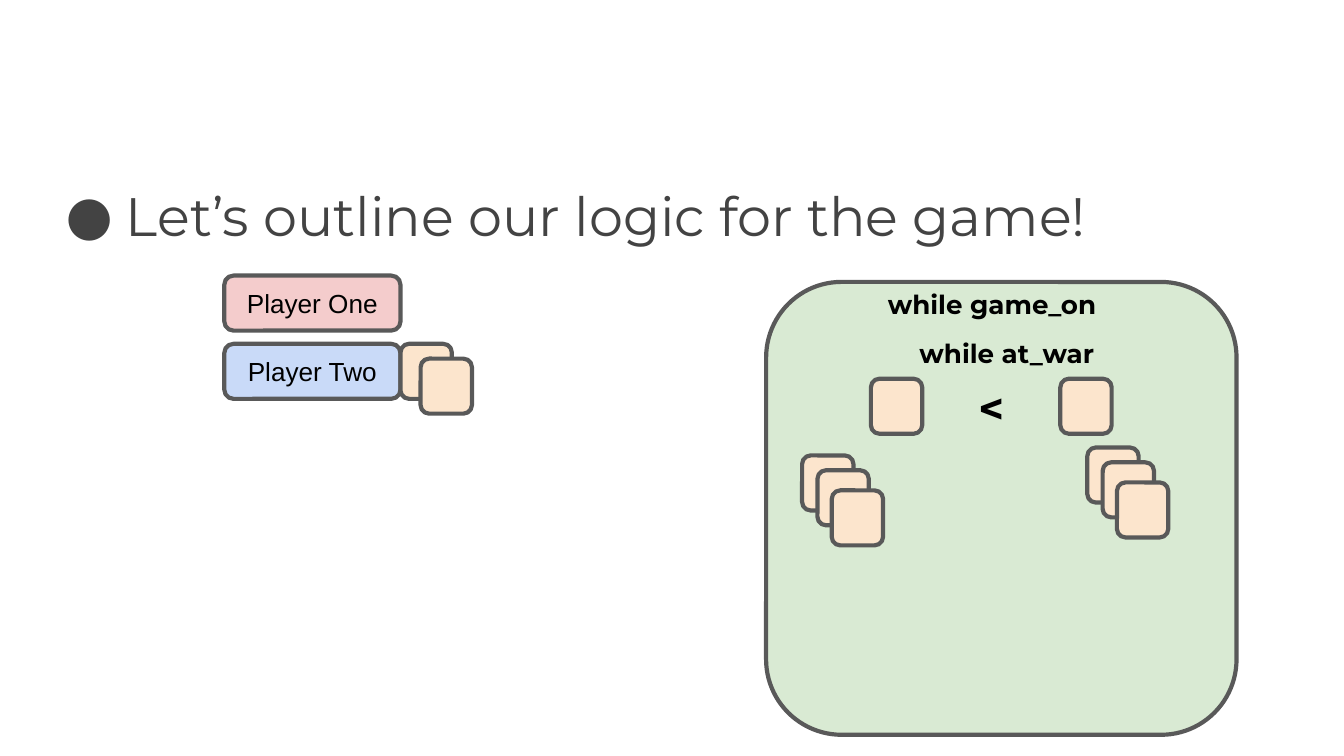
from dataclasses import dataclass
from typing import NamedTuple, Optional

from lxml import etree
from pptx import Presentation
from pptx import util as u
from pptx.dml.color import RGBColor
from pptx.enum import shapes, text
from pptx.oxml.ns import qn


@dataclass(frozen=True)
class Theme:
    ink: str = "000000"
    body: str = "434343"
    outline: str = "595959"
    table: str = "D9EAD3"
    card: str = "FCE5CD"
    player_one: str = "F4CCCC"
    player_two: str = "C9DAF8"
    heading_font: str = "Montserrat"
    label_font: str = "Arial"
    heading_size: float = 29
    sign_size: float = 23
    label_size: float = 14
    line_width: float = 2.25


THEME = Theme()
INSET = 0.25
ROW_HEIGHT = 1.04
CARD_WIDTH = 0.97
STACK_STEPS = [(0, 0), (0.29, 0.28), (0.56, 0.66)]


class Area(NamedTuple):
    left: float
    top: float
    width: float
    height: float = ROW_HEIGHT

    def lengths(self) -> list:
        return [u.Cm(value) for value in self]


class Player(NamedTuple):
    name: str
    top: float
    fill: str


class Caption(NamedTuple):
    words: str
    area: Area
    size: float


def write(frame, words: str, font_name: str, size: float, colour: str,
          bold: bool = False, align=text.PP_ALIGN.CENTER,
          anchor=text.MSO_ANCHOR.TOP, bullet: Optional[str] = None) -> None:
    frame.word_wrap = True
    frame.vertical_anchor = anchor
    frame.margin_left = frame.margin_right = u.Cm(INSET)
    frame.margin_top = frame.margin_bottom = u.Cm(INSET)
    para = frame.paragraphs[0]
    para.text = words
    para.alignment = align
    if bullet:
        props = para._p.get_or_add_pPr()
        props.set("marL", str(u.Cm(1.27)))
        props.set("indent", str(u.Cm(-1.14)))
        tint = etree.SubElement(props, qn("a:buClr"))
        etree.SubElement(tint, qn("a:srgbClr"), val=colour)
        etree.SubElement(props, qn("a:buFont"), typeface=font_name)
        etree.SubElement(props, qn("a:buChar"), char=bullet)
    para.font.name = font_name
    para.font.size = u.Pt(size)
    para.font.bold = bold
    para.font.color.rgb = RGBColor.from_string(colour)


def add_rounded(page, area: Area, fill: str):
    box = page.shapes.add_shape(
        shapes.MSO_SHAPE.ROUNDED_RECTANGLE, *area.lengths())
    box.shadow.inherit = False
    box.fill.solid()
    box.fill.fore_color.rgb = RGBColor.from_string(fill)
    box.line.color.rgb = RGBColor.from_string(THEME.outline)
    box.line.width = u.Pt(THEME.line_width)
    return box


def add_player(page, player: Player) -> None:
    box = add_rounded(page, Area(4.24, player.top, 3.33), player.fill)
    write(box.text_frame, player.name, THEME.label_font, THEME.label_size,
          THEME.ink, anchor=text.MSO_ANCHOR.MIDDLE)


def add_caption(page, caption: Caption) -> None:
    box = page.shapes.add_textbox(*caption.area.lengths())
    write(box.text_frame, caption.words, THEME.heading_font, caption.size,
          THEME.ink, bold=True)


def add_card(page, left: float, top: float) -> None:
    add_rounded(page, Area(left, top, CARD_WIDTH), THEME.card)


def main() -> None:
    deck = Presentation()
    deck.slide_width, deck.slide_height = u.Cm(25.4), u.Cm(14.29)
    page = deck.slides.add_slide(deck.slide_layouts[6])

    # Game table
    add_rounded(page, Area(14.48, 5.33, 8.89, 8.56), THEME.table)

    # Bulleted statement
    statement = page.shapes.add_textbox(*Area(0.86, 3.2, 24.13, 9.5).lengths())
    write(statement.text_frame, "Let’s outline our logic for the game!",
          THEME.heading_font, THEME.heading_size, THEME.body,
          align=text.PP_ALIGN.LEFT, bullet="●")

    # Players
    for player in (Player("Player One", 5.21, THEME.player_one),
                   Player("Player Two", 6.5, THEME.player_two)):
        add_player(page, player)

    # Player Two's hand, then the two compared cards
    for left, top in ((7.57, 6.5), (7.95, 6.78), (16.46, 7.16), (20.04, 7.16)):
        add_card(page, left, top)

    # Loop captions and comparison sign
    for caption in (
        Caption("while game_on", Area(15.6, 5.21, 6.3), THEME.label_size),
        Caption("while at_war", Area(15.88, 6.12, 6.3), THEME.label_size),
        Caption("<", Area(17.12, 6.96, 3.23), THEME.sign_size),
    ):
        add_caption(page, caption)

    # War stacks
    for left, top in ((20.55, 8.46), (15.16, 8.61)):
        for across, down in STACK_STEPS:
            add_card(page, left + across, top + down)

    deck.save("out.pptx")


if __name__ == "__main__":
    main()
